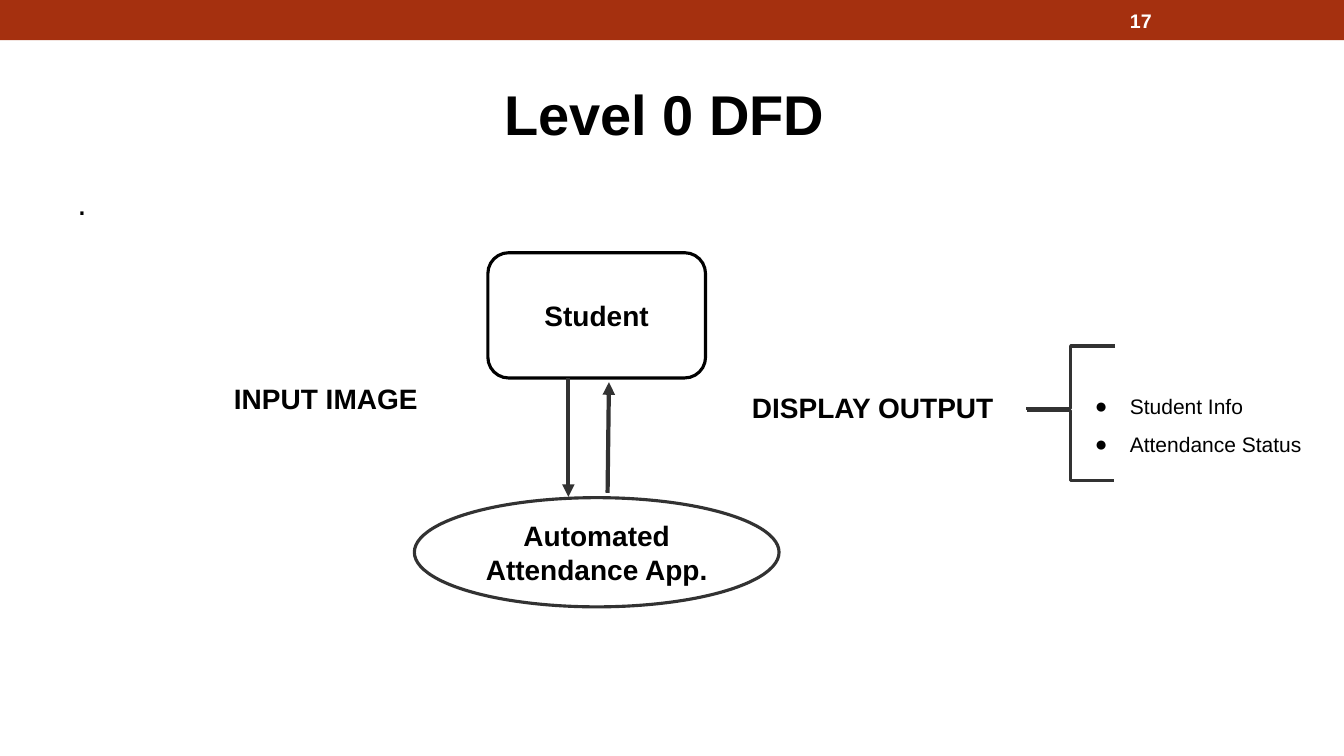
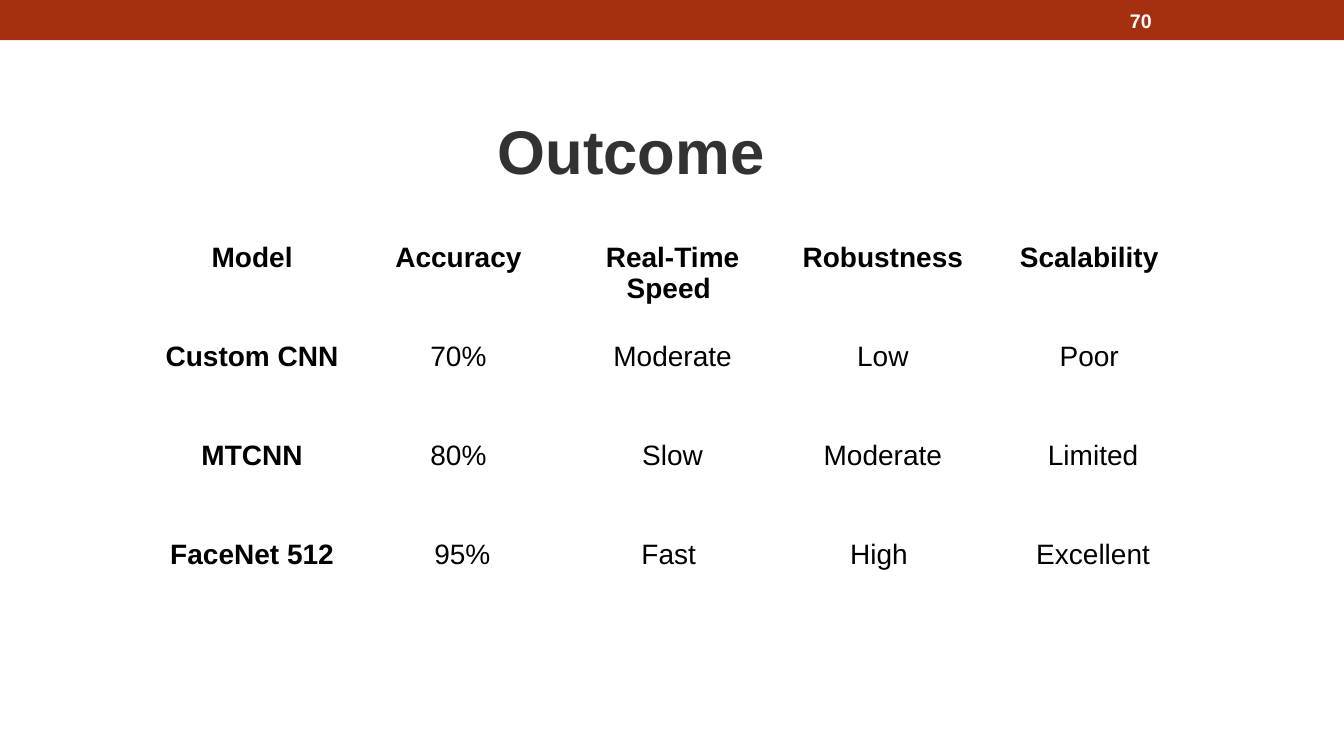
from pptx import Presentation
from pptx.dml.color import RGBColor as RGB
from pptx.enum.shapes import MSO_CONNECTOR as Link, MSO_SHAPE as Kind
from pptx.enum.text import MSO_ANCHOR as Anchor, PP_ALIGN as Align
from pptx.oxml.ns import qn
from pptx.util import Pt
from lxml import etree

HUES = {name: RGB.from_string(code) for name, code in {
    "band": "A5300F", "black": "000000", "dark": "323232", "white": "FFFFFF"}.items()}
FONT = "Arial"


def write(para, text, size, hue="black", bold=False, align=None):
    """Add one styled run to a paragraph."""
    run = para.add_run()
    run.text = text
    font = run.font
    font.name, font.size, font.bold = FONT, Pt(size), bold
    font.color.rgb = HUES[hue]
    if align is not None:
        para.alignment = align


def set_box(shape, pad, anchor=Anchor.TOP):
    """Wrap the text, set its padding and anchor, and return the frame."""
    frame = shape.text_frame
    frame.word_wrap = True
    frame.vertical_anchor = anchor
    frame.margin_left = frame.margin_right = Pt(7.2)
    frame.margin_top = frame.margin_bottom = Pt(pad)
    return frame


prs = Presentation()
prs.slide_width, prs.slide_height = Pt(960), Pt(540)

# Shared parts: title, page number and the band on the master
slides = []
for layout, title, size, hue, left, top, page in [
        (1, "Level 0 DFD", 40, "black", 42.5, 42, "17"),
        (5, "Outcome", 44, "dark", 19, 67.7, "70")]:
    slide = prs.slides.add_slide(prs.slide_layouts[layout])
    head = slide.shapes.title
    head.left, head.top, head.width, head.height = Pt(left), Pt(top), Pt(864), Pt(78)
    frame = set_box(head, 3.6, Anchor.MIDDLE)
    write(frame.paragraphs[0], title, size, hue, True, Align.CENTER)
    box = slide.shapes.add_textbox(Pt(800), Pt(1.5), Pt(112), Pt(26))
    frame = set_box(box, 3.6, Anchor.MIDDLE)
    write(frame.paragraphs[0], page, 14, "white", True)
    slides.append(slide)

flow, result = slides
band = flow.shapes.add_shape(Kind.RECTANGLE, 0, 0, prs.slide_width, Pt(28.8))
band.shadow.inherit = False
band.fill.solid()
band.fill.fore_color.rgb = HUES["band"]
band.line.fill.background()
band.element.nvSpPr.cNvPr.set("id", "20")
prs.slide_master.shapes.element.insert(2, band.element)

# Slide 1: data flow diagram
body = flow.placeholders[1]
body.left, body.top, body.width, body.height = Pt(48), Pt(126), Pt(864), Pt(384)
para = set_box(body, 3.6).paragraphs[0]
props = para._p.get_or_add_pPr()
props.set("marL", "0")
props.set("indent", "0")
etree.SubElement(props, qn("a:buNone"))
para.space_before = Pt(0)
write(para, ".", 24)

for kind, text, hue, left, top, width, height in [
        (Kind.ROUNDED_RECTANGLE, "Student", "black", 348.5, 180.5, 155.5, 89.5),
        (Kind.OVAL, "Automated Attendance App.", "dark", 296, 355.5, 260.5, 78)]:
    node = flow.shapes.add_shape(kind, Pt(left), Pt(top), Pt(width), Pt(height))
    node.shadow.inherit = False
    node.fill.solid()
    node.fill.fore_color.rgb = HUES["white"]
    node.line.color.rgb = HUES[hue]
    node.line.width = Pt(2.25)
    frame = set_box(node, 7.2, Anchor.MIDDLE)
    write(frame.paragraphs[0], text, 20, bold=True, align=Align.CENTER)

for kind, width, x1, y1, x2, y2 in [
        (Link.STRAIGHT, 3, 406, 270, 406, 355),
        (Link.STRAIGHT, 3, 434, 352, 435, 273),
        (Link.ELBOW, 2.25, 796.5, 247.2, 733, 292),
        (Link.ELBOW, 2.25, 733.5, 293.5, 795.5, 343)]:
    link = flow.shapes.add_connector(kind, Pt(x1), Pt(y1), Pt(x2), Pt(y2))
    link.line.color.rgb = HUES["dark"]
    link.line.width = Pt(width)
    if kind == Link.STRAIGHT:
        etree.SubElement(link.line._get_or_add_ln(), qn("a:tailEnd"), type="triangle")
    etree.SubElement(link.element.spPr, qn("a:effectLst"))

for text, left, top, width, height in [
        ("INPUT IMAGE", 160, 265, 146, 85),
        ("DISPLAY OUTPUT", 530, 272, 191, 53)]:
    box = flow.shapes.add_textbox(Pt(left), Pt(top), Pt(width), Pt(height))
    write(set_box(box, 7.2).paragraphs[0], text, 20, bold=True)

box = flow.shapes.add_textbox(Pt(764), Pt(265), Pt(183.5), Pt(85))
frame = set_box(box, 7.2)
for i, text in enumerate(["Student Info", "Attendance Status"]):
    para = frame.add_paragraph() if i else frame.paragraphs[0]
    props = para._p.get_or_add_pPr()
    props.set("marL", str(Pt(36)))
    props.set("indent", str(-Pt(25)))
    tint = etree.SubElement(props, qn("a:buClr"))
    etree.SubElement(tint, qn("a:srgbClr"), val=str(HUES["black"]))
    etree.SubElement(props, qn("a:buFont"), typeface=FONT)
    etree.SubElement(props, qn("a:buChar"), char="●")
    para.line_spacing = 1.5
    write(para, text, 15)

# Slide 2: model comparison
rows = [
    ["Model", "Accuracy ", "Real-Time Speed ", "Robustness", "Scalability "],
    ["Custom CNN", "70% ", "Moderate", "Low", "Poor "],
    ["MTCNN", "80% ", "Slow", "Moderate", "Limited"],
    ["FaceNet 512", "95%", "Fast ", "High ", "Excellent"],
]
table = result.shapes.add_table(
    len(rows), len(rows[0]), Pt(105), Pt(169), Pt(751), Pt(283)).table
table.first_row = table.horz_banding = False
for r, row in enumerate(rows):
    for c, text in enumerate(row):
        cell = table.cell(r, c)
        cell.fill.background()
        write(cell.text_frame.paragraphs[0], text, 20,
              bold=r == 0 or c == 0, align=Align.CENTER)

prs.save("out.pptx")
